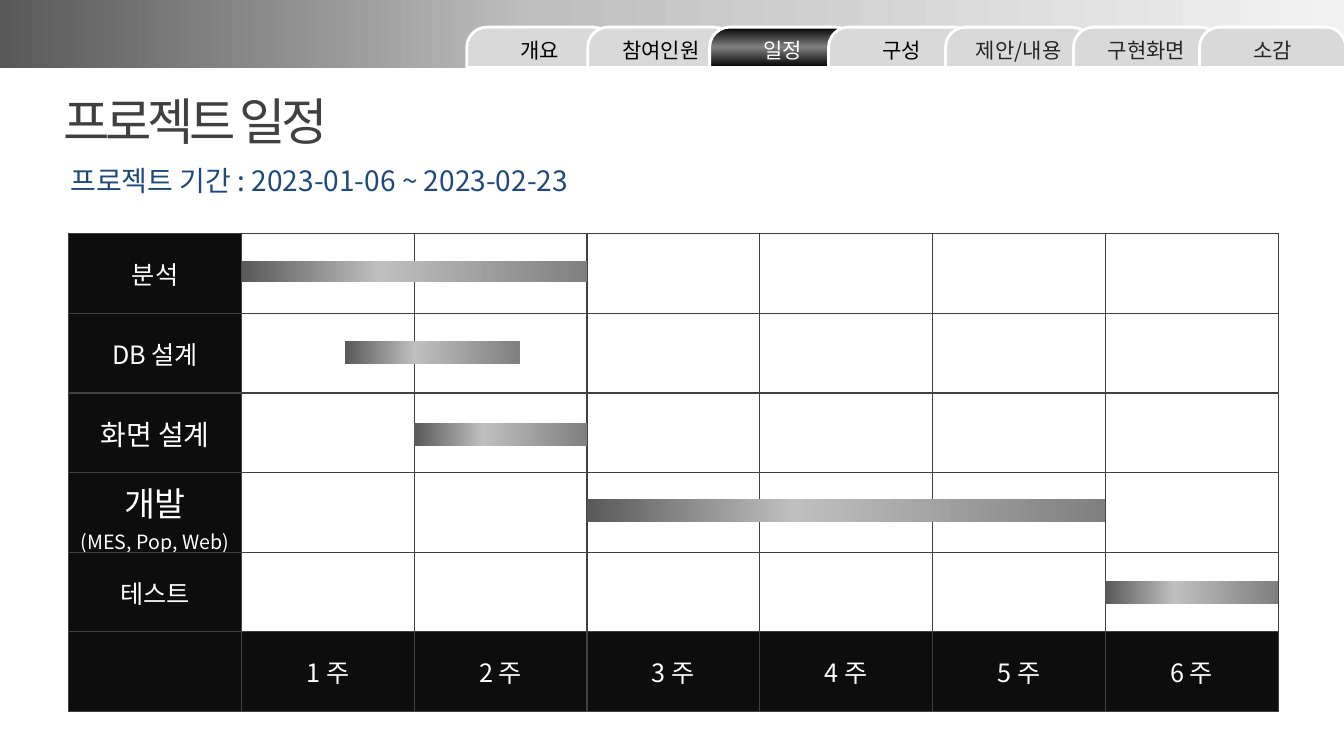
import lxml.etree
import pptx
import pptx.dml.color
import pptx.enum.shapes
import pptx.enum.text
import pptx.oxml.ns
import pptx.util

Pt = pptx.util.Pt
RGBColor = pptx.dml.color.RGBColor
SHAPES = pptx.enum.shapes.MSO_SHAPE
ALIGN = pptx.enum.text.PP_ALIGN
ANCHOR = pptx.enum.text.MSO_ANCHOR
qn = pptx.oxml.ns.qn

FONT = "Noto Sans CJK KR"
BLACK = RGBColor(0x00, 0x00, 0x00)
INK = RGBColor(0x0D, 0x0D, 0x0D)
SOFT_BLACK = RGBColor(0x26, 0x26, 0x26)
CHARCOAL = RGBColor(0x40, 0x40, 0x40)
DARK_GRAY = RGBColor(0x59, 0x59, 0x59)
GRAY = RGBColor(0x80, 0x80, 0x80)
SILVER = RGBColor(0xBF, 0xBF, 0xBF)
TAB_GRAY = RGBColor(0xD9, 0xD9, 0xD9)
PALE = RGBColor(0xF2, 0xF2, 0xF2)
WHITE = RGBColor(0xFF, 0xFF, 0xFF)
NAVY = RGBColor(0x1F, 0x49, 0x7D)

BAND_STOPS = [(0, DARK_GRAY), (40, SILVER), (100, PALE)]
BAR_STOPS = [(0, DARK_GRAY), (40, SILVER), (100, GRAY)]
ACTIVE_STOPS = [(0, BLACK), (51, GRAY), (100, BLACK)]

# label, left edge, text colour
TABS = [
    ("개요", 333.4, BLACK),
    ("참여인원", 419.8, BLACK),
    ("일정", 506.9, WHITE),
    ("구성", 591.8, BLACK),
    ("제안/내용", 675.4, SOFT_BLACK),
    ("구현화면", 766.8, SOFT_BLACK),
    ("소감", 856.8, SOFT_BLACK),
]
ACTIVE_TAB = "일정"

# label lines with sizes, then bar: start week, weeks, offset in row, height
TASKS = [
    ([("분석", 18)], (0, 2, 19.4, 15)),
    ([("DB 설계", 18)], (0.6, 1.01, 19.4, 16.6)),
    ([("화면 설계", 20)], (1, 1, 21.6, 16.6)),
    ([("개발", 24), ("(MES, Pop, Web)", 14)], (2, 3, 18.7, 16.6)),
    ([("테스트", 18)], (5, 1, 20.2, 16.6)),
]
WEEKS = 6


def style_text(para, size, color):
    para.font.size = Pt(size)
    for span in para.runs:
        span.font.size = Pt(size)
        span.font.name = FONT
        span.font.color.rgb = color
        east_asian = lxml.etree.SubElement(span.font._element, qn("a:ea"))
        east_asian.set("typeface", FONT)


def fill_gradient(shape, stops, angle=0):
    shape.fill.gradient()
    shape.fill.gradient_angle = angle
    stop_list = shape.fill._xPr.find(qn("a:gradFill")).find(qn("a:gsLst"))
    for old_stop in list(stop_list):
        stop_list.remove(old_stop)
    for position, color in stops:
        stop = lxml.etree.SubElement(stop_list, qn("a:gs"), pos=str(position * 1000))
        lxml.etree.SubElement(stop, qn("a:srgbClr"), val=str(color))


def add_gradient_bar(page, left, top, width, height, stops):
    bar = page.shapes.add_shape(
        SHAPES.RECTANGLE, Pt(left), Pt(top), Pt(width), Pt(height))
    bar.shadow.inherit = False
    fill_gradient(bar, stops)
    bar.line.fill.background()


def add_tabs(page, top, width, height):
    for label, left, color in TABS:
        tab = page.shapes.add_shape(
            SHAPES.ROUND_2_SAME_RECTANGLE, Pt(left), Pt(top), Pt(width), Pt(height))
        tab.adjustments[0] = 0.5
        tab.shadow.inherit = False
        tab.line.color.rgb = WHITE
        tab.line.width = Pt(2)
        if label == ACTIVE_TAB:
            fill_gradient(tab, ACTIVE_STOPS, 90)
        else:
            tab.fill.solid()
            tab.fill.fore_color.rgb = TAB_GRAY
        tab.text_frame.text = label
        tab.text_frame.vertical_anchor = ANCHOR.MIDDLE
        para = tab.text_frame.paragraphs[0]
        para.alignment = ALIGN.CENTER
        style_text(para, 15, color)


def add_heading(page, left, top, width, height, text, size, color):
    box = page.shapes.add_textbox(Pt(left), Pt(top), Pt(width), Pt(height))
    box.text_frame.text = text
    box.text_frame.word_wrap = True
    box.text_frame.vertical_anchor = ANCHOR.MIDDLE
    style_text(box.text_frame.paragraphs[0], size, color)
    return box


def add_title(page, left, top, width, height):
    box = add_heading(page, left, top, width, height, "프로젝트 일정", 36, CHARCOAL)
    box.text_frame.word_wrap = False
    box.text_frame.vertical_anchor = ANCHOR.TOP
    box.text_frame.paragraphs[0].runs[0].font._element.set("spc", "-300")


def outline_cell(cell):
    properties = cell._tc.get_or_add_tcPr()
    for index, side in enumerate(("a:lnL", "a:lnR", "a:lnT", "a:lnB")):
        border = lxml.etree.Element(qn(side), w=str(Pt(1)))
        solid = lxml.etree.SubElement(border, qn("a:solidFill"))
        lxml.etree.SubElement(solid, qn("a:srgbClr"), val=str(CHARCOAL))
        properties.insert(index, border)


def write_label(cell, lines):
    cell.text_frame.text = "\n".join(text for text, size in lines)
    cell.vertical_anchor = ANCHOR.MIDDLE
    for para, (text, size) in zip(cell.text_frame.paragraphs, lines):
        para.alignment = ALIGN.CENTER
        style_text(para, size, WHITE)


def add_schedule(page, left, top, width, height):
    """Grid of tasks by week, with one bar laid over each task row."""
    rows, columns = len(TASKS) + 1, WEEKS + 1
    row_height, column_width = height / rows, width / columns
    table = page.shapes.add_table(
        rows, columns, Pt(left), Pt(top), Pt(width), Pt(height)).table
    table.first_row = False
    table.horz_banding = False
    for column in table.columns:
        column.width = Pt(column_width)
    for row_index, row in enumerate(table.rows):
        row.height = Pt(row_height)
        for column_index, cell in enumerate(row.cells):
            if column_index == 0 or row_index == rows - 1:
                cell.fill.solid()
                cell.fill.fore_color.rgb = INK
            else:
                cell.fill.background()
            outline_cell(cell)
    for week in range(1, columns):
        write_label(table.cell(rows - 1, week), [(f"{week} 주", 18)])
    for row_index, (lines, (start, weeks, offset, bar_height)) in enumerate(TASKS):
        write_label(table.cell(row_index, 0), lines)
        add_gradient_bar(
            page, left + (1 + start) * column_width, top + row_index * row_height + offset,
            weeks * column_width, bar_height, BAR_STOPS)


def main():
    deck = pptx.Presentation()
    deck.slide_width, deck.slide_height = Pt(960), Pt(540)
    page = deck.slides.add_slide(deck.slide_layouts[6])
    add_gradient_bar(page, 0, -0.7, 960, 49, BAND_STOPS)
    add_title(page, 38.2, 60.5, 221.8, 51)
    add_heading(page, 43.2, 116.6, 609, 23.8,
                "프로젝트 기간 : 2023-01-06 ~ 2023-02-23", 20, NAVY)
    add_schedule(page, 49, 167, 864, 341.3)
    add_tabs(page, 19.4, 104.4, 28.8)
    deck.save("out.pptx")


if __name__ == "__main__":
    main()
